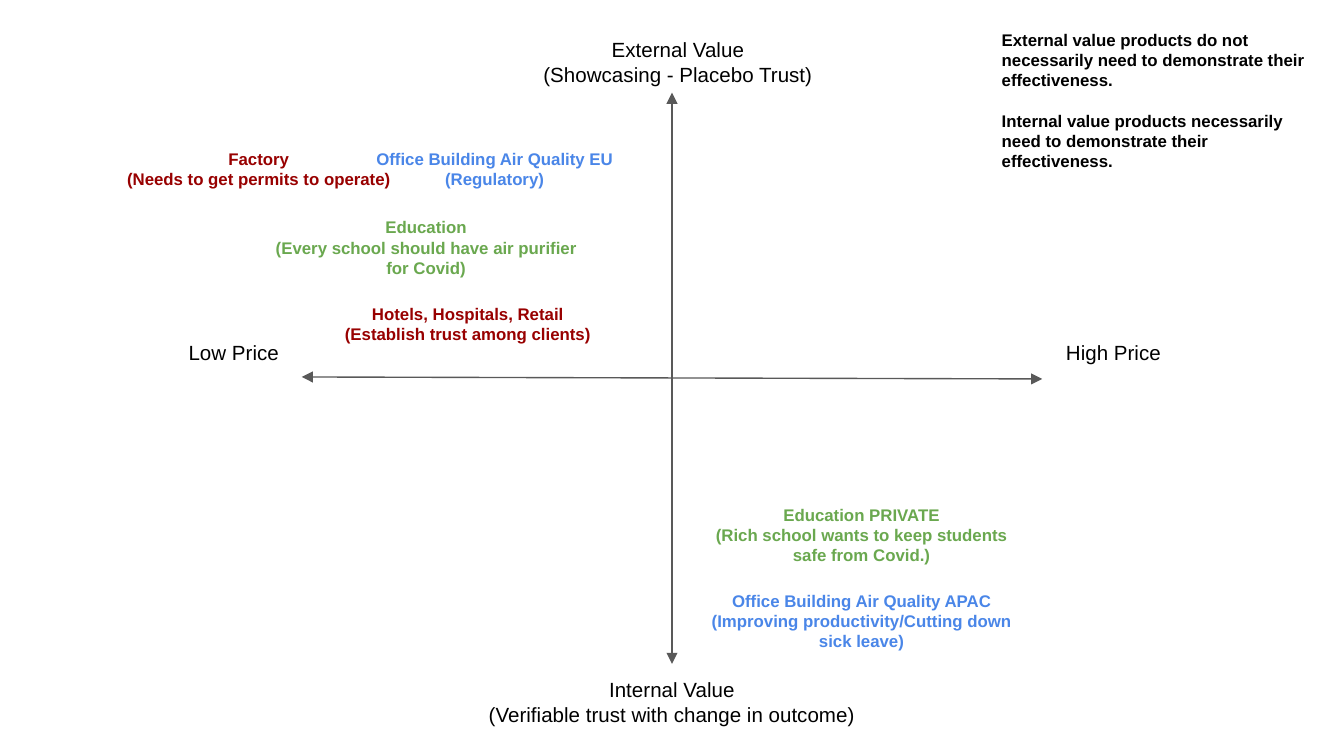
from lxml.etree import SubElement
from pptx import Presentation
from pptx.dml.color import RGBColor as RGB
from pptx.enum.shapes import MSO_CONNECTOR as CONN
from pptx.enum.text import MSO_ANCHOR as ANCHOR, PP_ALIGN as ALIGN
from pptx.oxml.ns import qn
from pptx.util import Pt

PX = 4572
BLACK = RGB(0x00, 0x00, 0x00)
GRAY = RGB(0x59, 0x59, 0x59)
BLUE = RGB(0x4A, 0x86, 0xE8)
GREEN = RGB(0x6A, 0xA8, 0x4F)
RED = RGB(0x98, 0x00, 0x00)

AXIS_FONT = {"name": "Arial", "size": Pt(11), "bold": False}
NOTE_FONT = {"name": "Arial", "size": Pt(9), "bold": True}
FRAME = {"word_wrap": True, "vertical_anchor": ANCHOR.TOP}
INSET = 20

SEGMENTS = [
    (0, 0, "Factory", "(Needs to get permits to operate)", RED),
    (351, 0, "Office Building Air Quality EU", "(Regulatory)", BLUE),
    (249, 102, "Education", "(Every school should have air purifier for Covid)", GREEN),
    (311, 231, "Hotels, Hospitals, Retail", "(Establish trust among clients)", RED),
    (897, 530, "Education PRIVATE",
     "(Rich school wants to keep students safe from Covid.)", GREEN),
    (897, 658, "Office Building Air Quality APAC",
     "(Improving productivity/Cutting down sick leave)", BLUE),
]


def add_text(slide, box, lines, font, color, align=ALIGN.CENTER, gap=0):
    tf = slide.shapes.add_textbox(*(v * PX for v in box)).text_frame
    for key, value in FRAME.items():
        setattr(tf, key, value)
    for side in ("left", "top", "right", "bottom"):
        setattr(tf, f"margin_{side}", INSET * PX)
    for i, line in enumerate(lines):
        p = tf.add_paragraph() if i else tf.paragraphs[0]
        p.alignment = align
        p.space_before = Pt(gap if i else 0)
        r = p.add_run()
        r.text = line
        for key, value in font.items():
            setattr(r.font, key, value)
        r.font.color.rgb = color


def add_arrow(slide, x1, y1, x2, y2):
    sp = slide.shapes.add_connector(CONN.STRAIGHT, *(v * PX for v in (x1, y1, x2, y2)))
    sp.line.color.rgb = GRAY
    sp.line.width = Pt(0.75)
    ln = sp.line._get_or_add_ln()
    for end in ("a:headEnd", "a:tailEnd"):
        SubElement(ln, qn(end), type="triangle", w="med", len="med")
    SubElement(sp._element.spPr, qn("a:effectLst"))


def add_axes(slide, x, y, w, h):
    add_arrow(slide, x, y + 423, x + w, y + 426)
    add_arrow(slide, x + w // 2, y, x + w // 2, y + h)
    labels = [
        (323, -103, 474, ["External Value", "(Showcasing - Placebo Trust)"]),
        (251, h, 600, ["Internal Value", "(Verifiable trust with change in outcome)"]),
        (-338, 349, 474, ["Low Price"]),
        (971, 349, 474, ["High Price"]),
    ]
    for dx, dy, width, lines in labels:
        add_text(slide, (x + dx, y + dy, width, 74), lines, AXIS_FONT, BLACK)


def add_segments(slide, x, y, w, h):
    for dx, dy, name, reason, color in SEGMENTS:
        add_text(slide, (x + dx, y + dy, w, h), [name, reason], NOTE_FONT, color)


def add_summary(slide, x, y, w, h):
    lines = [
        "External value products do not necessarily need to demonstrate their effectiveness.",
        "Internal value products necessarily need to demonstrate their effectiveness.",
    ]
    add_text(slide, (x, y, w, h), lines, NOTE_FONT, BLACK, ALIGN.LEFT, gap=11)


def main():
    prs = Presentation()
    prs.slide_width, prs.slide_height = 2000 * PX, 1125 * PX
    slide = prs.slides.add_slide(prs.slide_layouts[6])
    add_axes(slide, 449, 138, 1102, 850)
    add_segments(slide, 129, 201, 512, 102)
    add_summary(slide, 1471, 24, 512, 242)
    prs.save("out.pptx")


if __name__ == "__main__":
    main()
